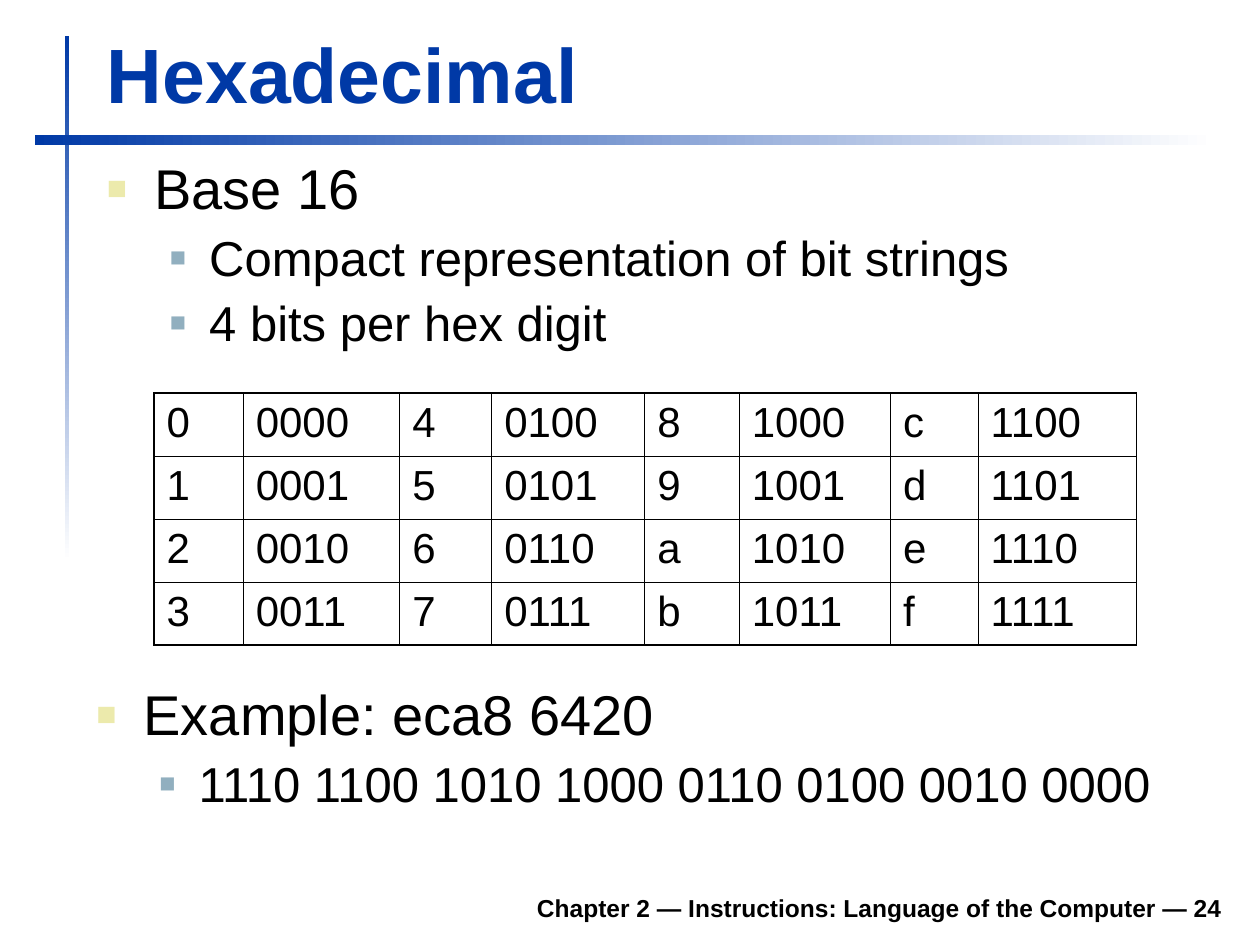
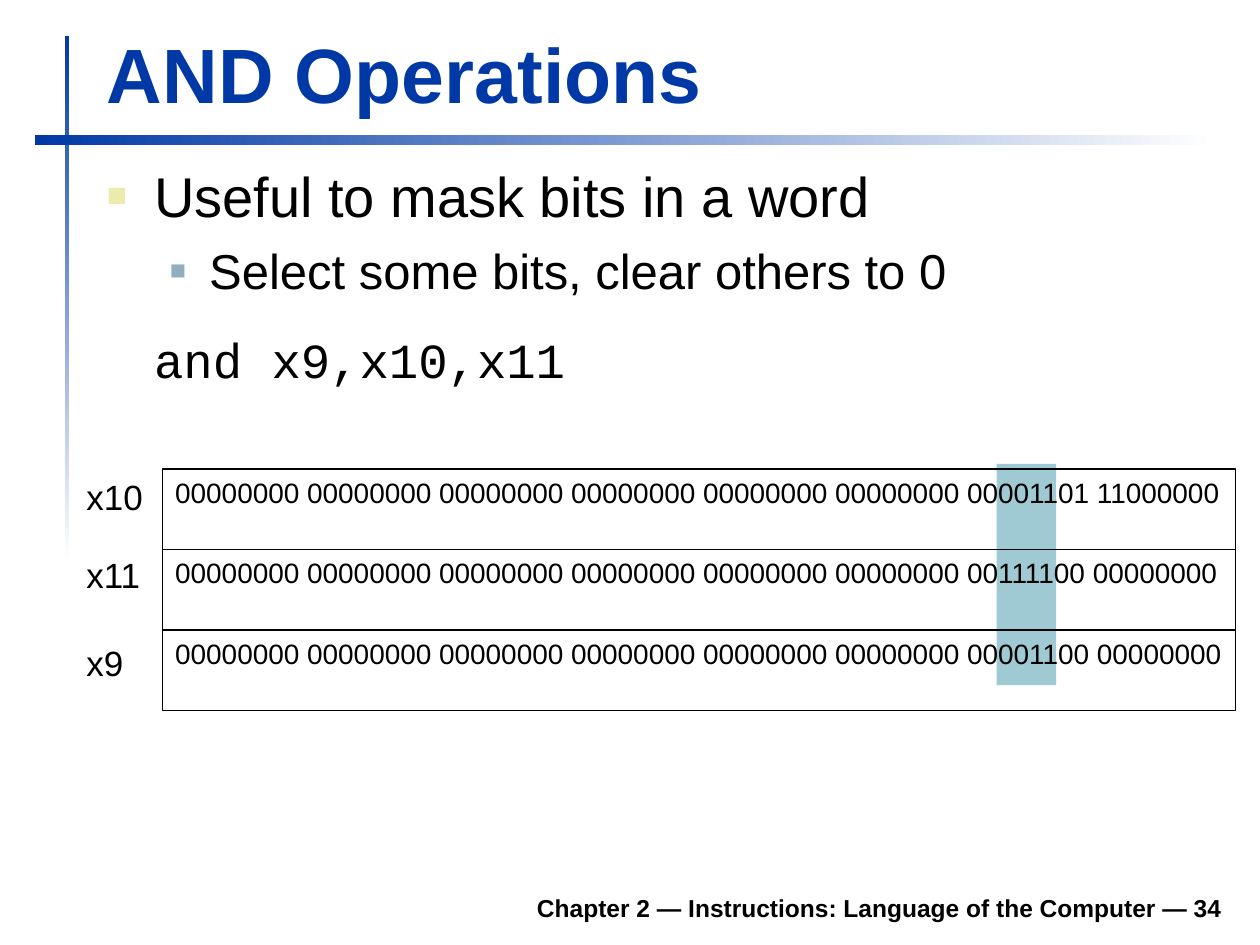
"""Builds two lecture slides: hexadecimal digits and masking bits with AND."""
from lxml import etree
from pptx import Presentation
from pptx import util as u
from pptx.dml.color import RGBColor
from pptx.enum import shapes, text
from pptx.oxml import ns

COLORS = {
    "title": "0039A6",
    "text": "000000",
    "fade": "FFFFFF",
    "bullet": "ECEAAC",
    "sub_bullet": "91AFBF",
    "mask": "9FCAD3",
}
LEVELS = [
    {"size": 32, "left": 27, "hang": 27, "before": 8, "color": "bullet", "scale": 60000},
    {"size": 28, "left": 58.5, "hang": 22.5, "before": 7, "color": "sub_bullet", "scale": 55000},
]


def add_text(slide, box, lines, size, color="text", bold=False,
             anchor=text.MSO_ANCHOR.TOP, right_inset=7.2):
    """Add a text box with one paragraph for each line."""
    frame = slide.shapes.add_textbox(*[u.Pt(length) for length in box]).text_frame
    frame.word_wrap = True
    frame.vertical_anchor = anchor
    frame.margin_right = u.Pt(right_inset)
    frame.text = "\n".join(lines)
    for paragraph in frame.paragraphs:
        font = paragraph.runs[0].font
        font.name, font.size, font.bold = "Arial", u.Pt(size), bold
        font.color.rgb = RGBColor.from_string(COLORS[color])
    return frame


def add_bullets(slide, box, items, spacing):
    """Add a bulleted list of (level, line) items."""
    frame = add_text(slide, box, [line for _, line in items], 32)
    for paragraph, (level, _) in zip(frame.paragraphs, items):
        style = LEVELS[level]
        paragraph.level = level
        paragraph.line_spacing = spacing
        paragraph.space_before = u.Pt(style["before"])
        paragraph.runs[0].font.size = u.Pt(style["size"])
        props = paragraph._p.get_or_add_pPr()
        props.set("marL", str(u.Pt(style["left"])))
        props.set("indent", str(-u.Pt(style["hang"])))
        tint = etree.SubElement(props, ns.qn("a:buClr"))
        etree.SubElement(tint, ns.qn("a:srgbClr"), val=COLORS[style["color"]])
        etree.SubElement(props, ns.qn("a:buSzPct"), val=str(style["scale"]))
        etree.SubElement(props, ns.qn("a:buFont"), typeface="Arial")
        etree.SubElement(props, ns.qn("a:buChar"), char="■")
    return frame


deck = Presentation()
deck.slide_width, deck.slide_height = u.Pt(720), u.Pt(540)

pages = []
for title, number in [("Hexadecimal", 24), ("AND Operations", 34)]:
    page = deck.slides.add_slide(deck.slide_layouts[6])
    for band_box, angle in [((37, 20.5, 2.5, 300), 270), ((20, 77, 674.5, 6), 0)]:
        band = page.shapes.add_shape(shapes.MSO_SHAPE.RECTANGLE, *[u.Pt(v) for v in band_box])
        band.shadow.inherit = False
        band.line.fill.background()
        band.fill.gradient()
        band.fill.gradient_angle = angle
        for stop, position, color in zip(band.fill.gradient_stops, (0, 1), ("title", "fade")):
            stop.position = position
            stop.color.rgb = RGBColor.from_string(COLORS[color])
    footer = add_text(page, (133, 502.5, 572.5, 28),
                      [f"Chapter 2 — Instructions: Language of the Computer — {number}"],
                      14, bold=True, anchor=text.MSO_ANCHOR.BOTTOM)
    footer.paragraphs[0].alignment = text.PP_ALIGN.RIGHT
    add_text(page, (54, 11.5, 650, 60), [title], 44, "title", True, text.MSO_ANCHOR.BOTTOM)
    pages.append(page)
hex_page, and_page = pages

add_bullets(hex_page, (54, 88.5, 651, 124.5), [
    (0, "Base 16"),
    (1, "Compact representation of bit strings"),
    (1, "4 bits per hex digit"),
], 0.9)

column_widths = [51, 89.5, 52.5, 87.5, 54, 86.5, 50, 90.5]
row_count, column_count = 4, len(column_widths)
digits = hex_page.shapes.add_table(row_count, column_count, u.Pt(88), u.Pt(224.5),
                                   u.Pt(sum(column_widths)), u.Pt(36 * row_count)).table
digits.first_row = digits.horz_banding = False
for column, width in zip(digits.columns, column_widths):
    column.width = u.Pt(width)
column_rules = [1.08] + [0.45, 0.75] * 3 + [0.45, 1.08]
row_rules = [1.08, 0.45, 0.45, 0.45, 1.08]
for r in range(row_count):
    for c in range(column_count):
        value = c // 2 * row_count + r
        cell = digits.cell(r, c)
        cell.text = f"{value:04b}" if c % 2 else f"{value:x}"
        cell.fill.background()
        paragraph = cell.text_frame.paragraphs[0]
        paragraph.space_before = u.Pt(6)
        font = paragraph.runs[0].font
        font.name, font.size = "Arial", u.Pt(24)
        font.color.rgb = RGBColor.from_string(COLORS["text"])
        props = cell._tc.get_or_add_tcPr()
        edges = {"lnL": column_rules[c], "lnR": column_rules[c + 1],
                 "lnT": row_rules[r], "lnB": row_rules[r + 1]}
        for place, (edge, weight) in enumerate(edges.items()):
            border = etree.Element(ns.qn(f"a:{edge}"), w=str(u.Pt(weight)))
            ink = etree.SubElement(border, ns.qn("a:solidFill"))
            etree.SubElement(ink, ns.qn("a:srgbClr"), val=COLORS["text"])
            props.insert(place, border)

add_bullets(hex_page, (48, 389, 651, 90.5), [
    (0, "Example: eca8 6420"),
    (1, "1110 1100 1010 1000 0110 0100 0010 0000"),
], 0.9)

mask = and_page.shapes.add_shape(shapes.MSO_SHAPE.RECTANGLE,
                                 u.Pt(569.5), u.Pt(265), u.Pt(34), u.Pt(126.5))
mask.shadow.inherit = False
mask.fill.solid()
mask.fill.fore_color.rgb = RGBColor.from_string(COLORS["mask"])
mask.line.fill.background()

usage = add_bullets(and_page, (54, 88.5, 651, 163.5), [
    (0, "Useful to mask bits in a word"),
    (1, "Select some bits, clear others to 0"),
], 1.0)
instruction = usage.add_paragraph()
instruction.text = "and x9,x10,x11"
instruction.space_before, instruction.space_after = u.Pt(17.5), u.Pt(10.5)
instruction._p.get_or_add_pPr().set("marL", str(u.Pt(LEVELS[0]["left"])))
code_font = instruction.runs[0].font
code_font.name, code_font.size = "Courier New", u.Pt(28)
code_font.color.rgb = RGBColor.from_string(COLORS["text"])

registers = [
    ("x10", 268, "00001101 11000000"),
    ("x11", 312.5, "00111100 00000000"),
    ("x9", 363, "00001100 00000000"),
]
for i, (register, label_top, low_bits) in enumerate(registers):
    add_text(and_page, (42.25, label_top, 46.75, 31.5), [register], 20, right_inset=0)
    word = and_page.shapes.add_shape(shapes.MSO_SHAPE.RECTANGLE,
                                     u.Pt(93), u.Pt(268 + 46 * i), u.Pt(613), u.Pt(46))
    word.shadow.inherit = False
    word.fill.background()
    word.line.width = u.Pt(0.75)
    word.line.color.rgb = RGBColor.from_string(COLORS["text"])
    frame = word.text_frame
    frame.word_wrap = True
    frame.margin_right = u.Pt(0)
    frame.vertical_anchor = text.MSO_ANCHOR.TOP
    frame.text = "00000000 " * 6 + low_bits
    frame.paragraphs[0].alignment = text.PP_ALIGN.LEFT
    font = frame.paragraphs[0].runs[0].font
    font.name, font.size = "Arial", u.Pt(16)
    font.color.rgb = RGBColor.from_string(COLORS["text"])

deck.save("out.pptx")
